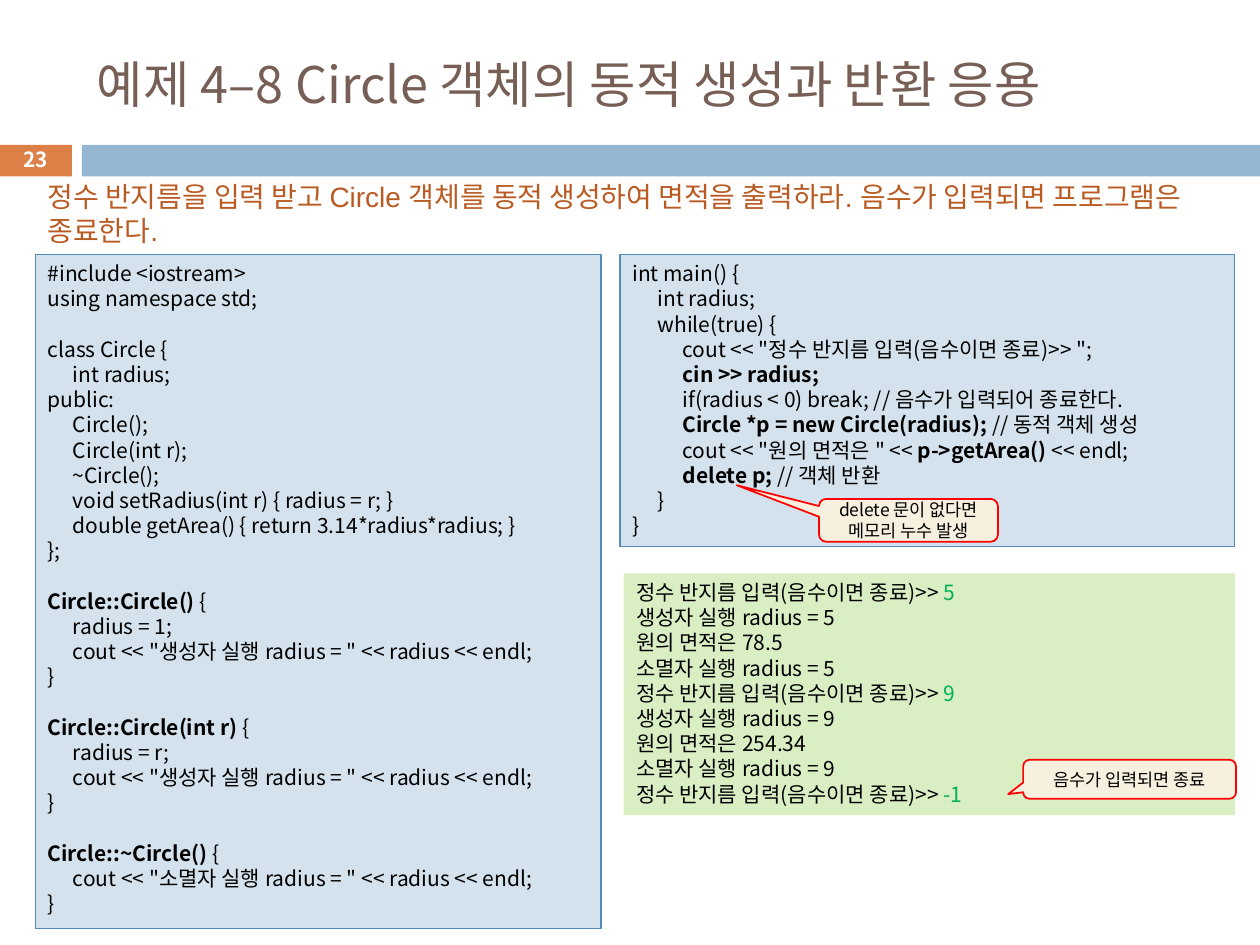
"""Build the slide on creating and returning Circle objects dynamically."""
from typing import NamedTuple, Optional

from lxml import etree
from pptx import Presentation
from pptx.dml.color import RGBColor
from pptx.enum import shapes, text
from pptx.oxml import ns
from pptx.util import Inches, Pt

FONT = "Noto Sans CJK KR"
BLACK = RGBColor(0x00, 0x00, 0x00)
WHITE = RGBColor(0xFF, 0xFF, 0xFF)
BROWN = RGBColor(0x77, 0x5F, 0x55)
ORANGE = RGBColor(0xDD, 0x80, 0x47)
RUST = RGBColor(0xB9, 0x5B, 0x22)
BLUE = RGBColor(0x94, 0xB6, 0xD2)
PALE_BLUE = RGBColor(0xD4, 0xE2, 0xED)
EDGE_BLUE = RGBColor(0x55, 0x8B, 0xB8)
PALE_GREEN = RGBColor(0xDA, 0xEE, 0xC4)
INPUT_GREEN = RGBColor(0x00, 0xB0, 0x50)
CREAM = RGBColor(0xF7, 0xF0, 0xDE)
RED = RGBColor(0xFF, 0x00, 0x00)

INDENT = "    "
MARK = "**"
TAB_STEP = 0.2

CLASS_CODE = """#include <iostream>
using namespace std;

class Circle {
    int radius;
public:
    Circle();
    Circle(int r);
    ~Circle();
    void setRadius(int r) { radius = r; }
    double getArea() { return 3.14*radius*radius; }
};

**Circle::Circle() **{
    radius = 1;
    cout << "생성자 실행 radius = " << radius << endl;
}

**Circle::Circle(int r) **{
    radius = r;
    cout << "생성자 실행 radius = " << radius << endl;
}

**Circle::~Circle() **{
    cout << "소멸자 실행 radius = " << radius << endl;
}"""

MAIN_CODE = """int main() {
    int radius;
    while(true) {
        cout << "정수 반지름 입력(음수이면 종료)>> ";
        **cin >> radius;**
        if(radius < 0) break; // 음수가 입력되어 종료한다.
        **Circle *p = new Circle(radius); **// 동적 객체 생성
        cout << "원의 면적은 " << **p->getArea() **<< endl;
        **delete p; **// 객체 반환
    }
}"""

CONSOLE = """정수 반지름 입력(음수이면 종료)>> **5**
생성자 실행 radius = 5
원의 면적은 78.5
소멸자 실행 radius = 5
정수 반지름 입력(음수이면 종료)>> **9**
생성자 실행 radius = 9
원의 면적은 254.34
소멸자 실행 radius = 9
정수 반지름 입력(음수이면 종료)>> **-1**"""


class Box(NamedTuple):
    left: float
    top: float
    width: float
    height: float


class Panel(NamedTuple):
    box: Box
    content: str
    fill: RGBColor
    line: Optional[RGBColor] = None
    mark_color: RGBColor = BLACK
    mark_bold: bool = True


class Callout(NamedTuple):
    box: Box
    content: str
    tip: tuple[float, float]


PANELS = [
    Panel(Box(4.95, 4.55, 4.85, 1.92), CONSOLE, PALE_GREEN,
          mark_color=INPUT_GREEN, mark_bold=False),
    Panel(Box(0.28, 2.02, 4.49, 5.35), CLASS_CODE, PALE_BLUE, EDGE_BLUE),
    Panel(Box(4.92, 2.02, 4.88, 2.32), MAIN_CODE, PALE_BLUE, EDGE_BLUE),
]
CALLOUTS = [
    Callout(Box(6.5, 3.96, 1.42, 0.34), "delete 문이 없다면\n메모리 누수 발생", (-0.96, -0.82)),
    Callout(Box(8.12, 6.03, 1.69, 0.31), "음수가 입력되면 종료", (-0.57, 0.38)),
]


def add_tabs(paragraph, depth: int) -> None:
    tabs = etree.SubElement(paragraph._p.get_or_add_pPr(), ns.qn("a:tabLst"))
    for level in range(1, depth + 1):
        etree.SubElement(tabs, ns.qn("a:tab"), pos=str(Inches(TAB_STEP * level)), algn="l")


def write(frame, content: str, *, size: float, color: RGBColor = BLACK, font: str = FONT,
          bold: bool = False, align=text.PP_ALIGN.LEFT, anchor=text.MSO_ANCHOR.TOP,
          mark_color: Optional[RGBColor] = None, mark_bold: bool = False) -> None:
    frame.word_wrap = True
    frame.vertical_anchor = anchor
    for row, line in enumerate(content.split("\n")):
        paragraph = frame.paragraphs[0] if row == 0 else frame.add_paragraph()
        paragraph.alignment = align
        depth = line.count(INDENT)
        if depth:
            add_tabs(paragraph, depth)
        if not line:
            paragraph._p.get_or_add_endParaRPr().set("sz", str(int(size * 100)))
        for part, words in enumerate(line.replace(INDENT, "\t").split(MARK)):
            if not words:
                continue
            marked = part % 2 == 1
            run = paragraph.add_run()
            run.text = words
            run.font.size = Pt(size)
            run.font.name = font
            run.font.bold = mark_bold if marked else bold
            run.font.color.rgb = mark_color if marked and mark_color else color
            etree.SubElement(run.font._element, ns.qn("a:ea"), typeface=FONT)


def add_block(slide, box: Box, fill: RGBColor, line: Optional[RGBColor] = None,
              weight: float = 0.75, kind=shapes.MSO_SHAPE.RECTANGLE):
    block = slide.shapes.add_shape(kind, *map(Inches, box))
    block.shadow.inherit = False
    block.fill.solid()
    block.fill.fore_color.rgb = fill
    if line is None:
        block.line.fill.background()
    else:
        block.line.color.rgb = line
        block.line.width = Pt(weight)
    return block


def add_label(slide, box: Box, content: str, **style) -> None:
    write(slide.shapes.add_textbox(*map(Inches, box)).text_frame, content, **style)


def add_panel(slide, panel: Panel) -> None:
    block = add_block(slide, panel.box, panel.fill, panel.line)
    write(block.text_frame, panel.content, size=12,
          mark_color=panel.mark_color, mark_bold=panel.mark_bold)


def add_callout(slide, callout: Callout) -> None:
    bubble = add_block(slide, callout.box, CREAM, RED, 1,
                       shapes.MSO_SHAPE.ROUNDED_RECTANGULAR_CALLOUT)
    bubble.adjustments[0], bubble.adjustments[1] = callout.tip
    write(bubble.text_frame, callout.content, size=10,
          align=text.PP_ALIGN.CENTER, anchor=text.MSO_ANCHOR.MIDDLE)


def main() -> None:
    deck = Presentation()
    deck.slide_width, deck.slide_height = Inches(10), Inches(7.5)
    slide = deck.slides.add_slide(deck.slide_layouts[6])
    add_block(slide, Box(-0.01, 1.15, 0.58, 0.25), ORANGE)
    add_block(slide, Box(0.65, 1.15, 9.35, 0.25), BLUE)
    add_label(slide, Box(0.67, 0.25, 8.92, 0.82), "예제 4–8 Circle 객체의 동적 생성과 반환 응용",
              size=28.8, color=BROWN, anchor=text.MSO_ANCHOR.MIDDLE)
    add_label(slide, Box(-0.01, 1.13, 0.58, 0.27), "23", size=11.9, color=WHITE, bold=True,
              align=text.PP_ALIGN.CENTER, anchor=text.MSO_ANCHOR.MIDDLE)
    for panel in PANELS:
        add_panel(slide, panel)
    for callout in CALLOUTS:
        add_callout(slide, callout)
    add_label(slide, Box(0.28, 1.38, 9.29, 0.64),
              "정수 반지름을 입력 받고 Circle 객체를 동적 생성하여 면적을 출력하라. "
              "음수가 입력되면 프로그램은 종료한다.",
              size=16, color=RUST, font="Arial")
    deck.save("out.pptx")


if __name__ == "__main__":
    main()
